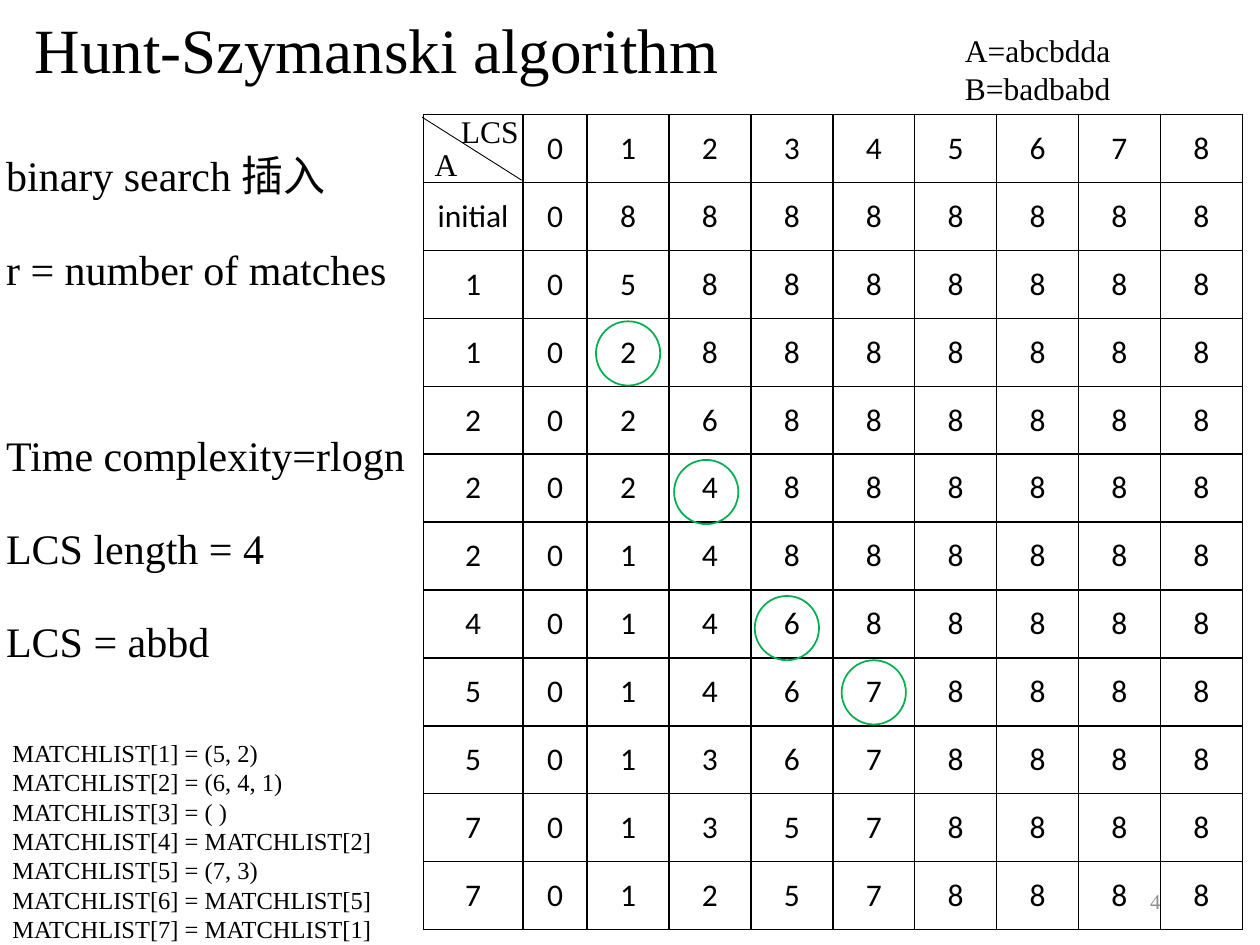
import pptx
import pptx.util
import pptx.dml.color
import pptx.enum.text
import pptx.enum.shapes
import pptx.oxml
from pptx.util import Inches, Pt

SERIF = "Times New Roman"
ALIGN = pptx.enum.text.PP_ALIGN
MID = pptx.enum.text.MSO_ANCHOR.MIDDLE
LOW = pptx.enum.text.MSO_ANCHOR.BOTTOM
NS = "http://schemas.openxmlformats.org/drawingml/2006/main"

ROWS = ["initial 0", "1 0 5", "1 0 2", "2 0 2 6", "2 0 2 4", "2 0 1 4",
        "4 0 1 4 6", "5 0 1 4 6 7", "5 0 1 3 6 7", "7 0 1 3 5 7",
        "7 0 1 2 5 7"]
RINGS = [(3.32, 4.33), (2.63, 3.82), (1.99, 2.74), (1.37, 1.64)]


def tint(code):
    """Turn a hex string into a colour."""
    return pptx.dml.color.RGBColor.from_string(code)


def write(frame, lines, size=18, font=SERIF, color="000000", align=ALIGN.LEFT,
          lead=None, before=0, anchor=None, wrap=True):
    """Fill a text frame with lines in one format."""
    frame.word_wrap = wrap
    if anchor is not None:
        frame.vertical_anchor = anchor
    for n, line in enumerate(lines):
        par = frame.paragraphs[0] if n == 0 else frame.add_paragraph()
        par.text = line
        par.alignment = align
        par.space_before = Pt(before if n else 0)
        if lead:
            par.line_spacing = lead
        par.font.size = Pt(size)
        par.font.name = font
        par.font.color.rgb = tint(color)


def label(slide, box, lines, **form):
    """Add a text box and return it."""
    shape = slide.shapes.add_textbox(*map(Inches, box))
    write(shape.text_frame, lines, **form)
    return shape


def head(slide, box):
    """Place and format the title."""
    title = slide.shapes.title
    title.left, title.top, title.width, title.height = map(Inches, box)
    write(title.text_frame, ["Hunt-Szymanski algorithm"], size=36,
          align=ALIGN.CENTER, lead=0.9, anchor=LOW)


def notes(slide, box):
    """Place the main points, with a gap before the results."""
    shape = label(slide, box, [
        "binary search 插入", "r = number of matches",
        "Time complexity=rlogn", "LCS length = 4", "LCS = abbd",
    ], size=24, lead=1.5, before=10)
    shape.text_frame.margin_top = Inches(0.62)
    shape.text_frame.paragraphs[2].space_before = Pt(63.2)


def match(slide, box):
    """Place the list of matches."""
    shape = label(slide, box, [
        "MATCHLIST[1] = (5, 2)", "MATCHLIST[2] = (6, 4, 1)",
        "MATCHLIST[3] = ( )", "MATCHLIST[4] = MATCHLIST[2]",
        "MATCHLIST[5] = (7, 3)", "MATCHLIST[6] = MATCHLIST[5]",
        "MATCHLIST[7] = MATCHLIST[1]",
    ], size=14)
    shape.text_frame.paragraphs[0].line_spacing = 1.5


def edge(cell):
    """Draw a thin black border on each side of a cell."""
    props = cell._tc.get_or_add_tcPr()
    for n, side in enumerate(("lnL", "lnR", "lnT", "lnB")):
        props.insert(n, pptx.oxml.parse_xml(
            f'<a:{side} xmlns:a="{NS}" w="12700"><a:solidFill>'
            f'<a:srgbClr val="000000"/></a:solidFill></a:{side}>'))


def grid(slide, box):
    """Place the table of thresholds."""
    data = [["", *"012345678"]]
    for row in ROWS:
        cells = row.split()
        data.append(cells + ["8"] * (10 - len(cells)))
    table = slide.shapes.add_table(len(data), 10, *map(Inches, box)).table
    table.first_row = table.horz_banding = False
    for col, wide in zip(table.columns, [0.79, 0.51] + [0.65] * 8):
        col.width = Inches(wide)
    for r, row in enumerate(data):
        table.rows[r].height = Inches(box[3] / len(data))
        for c, text in enumerate(row):
            cell = table.cell(r, c)
            cell.fill.background()
            cell.vertical_anchor = MID
            write(cell.text_frame, [text], font="Calibri", align=ALIGN.CENTER)
            edge(cell)


def marks(slide, box):
    """Place the rings and the split corner over the table."""
    left, top = box[:2]
    for x, y in RINGS:
        ring = slide.shapes.add_shape(
            pptx.enum.shapes.MSO_SHAPE.OVAL, Inches(left + x),
            Inches(top + y), Inches(0.51), Inches(0.51))
        ring.shadow.inherit = False
        ring.fill.background()
        ring.line.color.rgb = tint("00B050")
        ring.line.width = Pt(1)
    slash = slide.shapes.add_connector(
        pptx.enum.shapes.MSO_CONNECTOR.STRAIGHT, Inches(left - 0.01),
        Inches(top + 0.02), Inches(left + 0.78), Inches(top + 0.52))
    slash.line.color.rgb = tint("000000")
    slash.line.width = Pt(0.5)
    slash._element.spPr.append(
        pptx.oxml.parse_xml(f'<a:effectLst xmlns:a="{NS}"/>'))
    label(slide, (left - 0.01, top + 0.19, 0.38, 0.4), ["A"], wrap=False)
    label(slide, (left + 0.2, top - 0.07, 0.66, 0.4), ["LCS"], wrap=False)


def main():
    """Build and save the slide."""
    deck = pptx.Presentation()
    deck.slide_width, deck.slide_height = Inches(10), Inches(7.5)
    slide = deck.slides.add_slide(deck.slide_layouts[5])
    area = (3.36, 0.91, 6.5, 6.47)
    head(slide, (-0.14, 0, 6.26, 0.74))
    notes(slide, (-0.05, 0.37, 8.48, 5.61))
    label(slide, (7.06, 6.95, 2.25, 0.4), ["4"], size=12, color="8C8C8C",
          align=ALIGN.RIGHT, anchor=MID)
    grid(slide, area)
    match(slide, (0, 5.69, 3.65, 2.1))
    marks(slide, area)
    label(slide, (7.56, 0.2, 1.62, 1.01), ["A=abcbdda", "B=badbabd"],
          wrap=False)
    deck.save("out.pptx")


if __name__ == "__main__":
    main()
